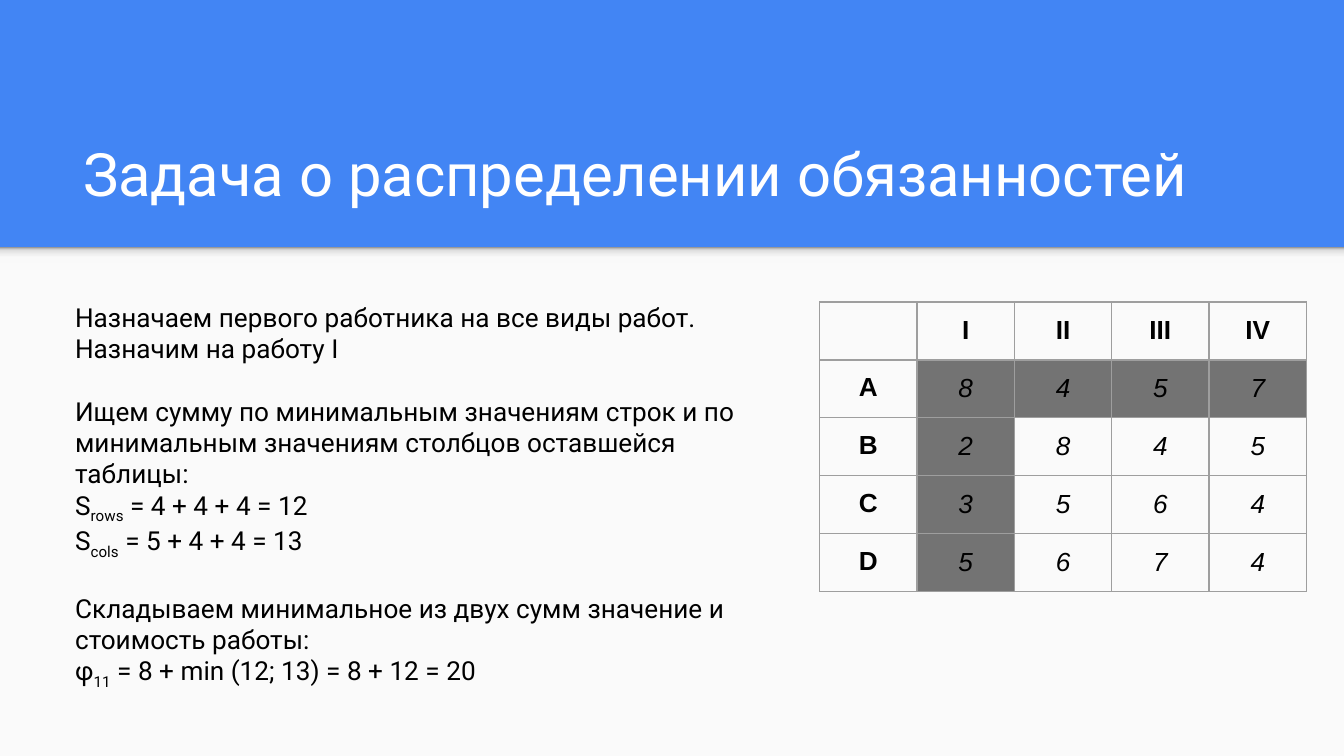
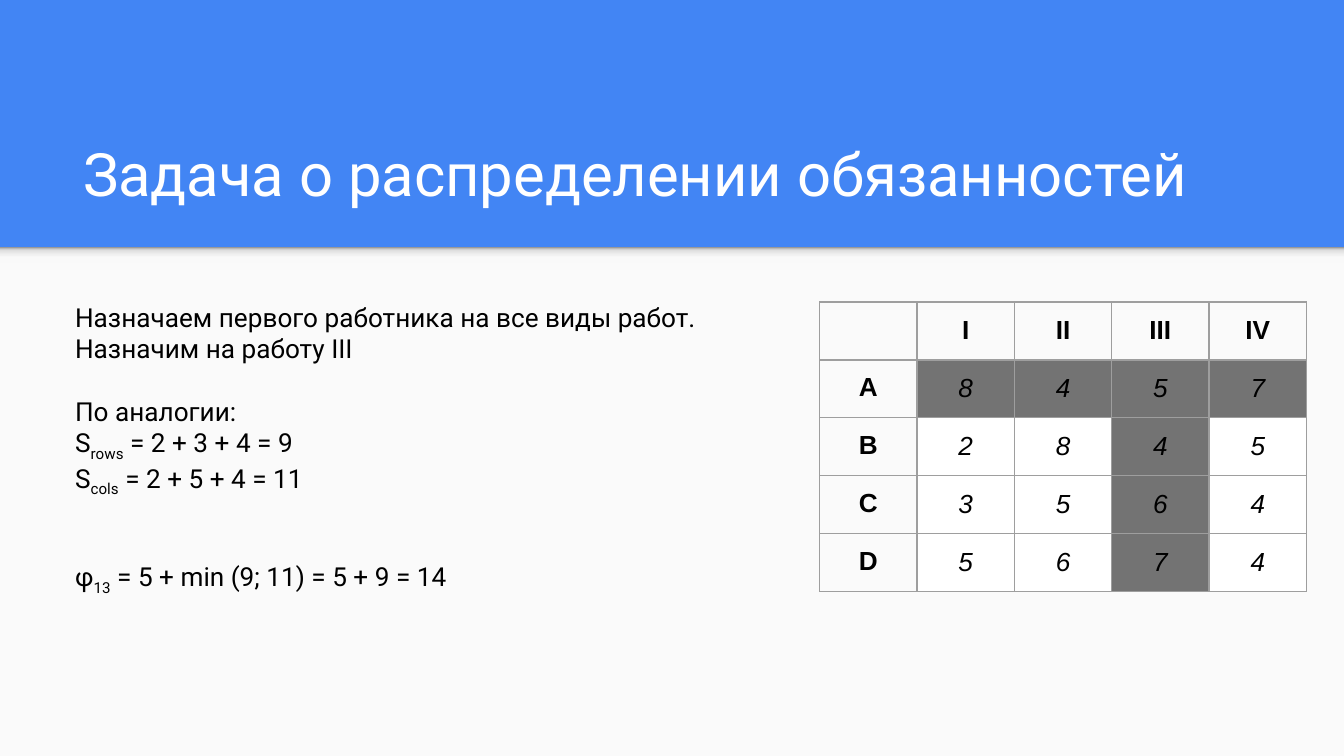
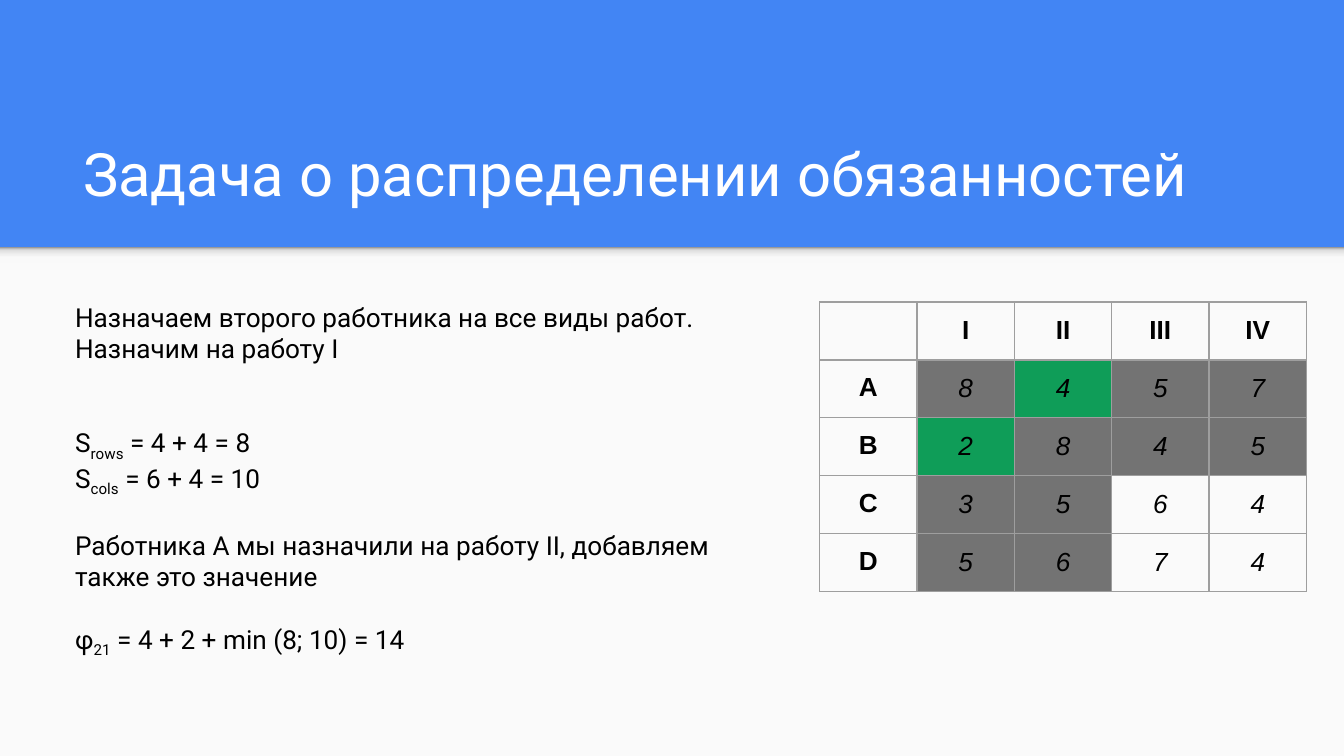
import dataclasses

import lxml.etree
import pptx
import pptx.dml.color
import pptx.enum.shapes
import pptx.enum.text
import pptx.oxml.ns
import pptx.util

Cm, Pt = pptx.util.Cm, pptx.util.Pt
Align = pptx.enum.text.PP_ALIGN
Anchor = pptx.enum.text.MSO_ANCHOR
qn = pptx.oxml.ns.qn

TITLE = "Задача о распределении обязанностей"
JOBS = ["I", "II", "III", "IV"]
COSTS = {
    "A": [8, 4, 5, 7],
    "B": [2, 8, 4, 5],
    "C": [3, 5, 6, 4],
    "D": [5, 6, 7, 4],
}

# Each line is (blank lines before it, text, subscript, text, ...).
STEPS = [
    {
        "assigned": [("A", "I")], "assigned_fill": "struck", "free_fill": None,
        "lines": [
            (0, "Назначаем первого работника на все виды работ."),
            (0, "Назначим на работу I"),
            (1, "Ищем сумму по минимальным значениям строк и по минимальным "
                "значениям столбцов оставшейся таблицы:"),
            (0, "S", "rows", " = 4 + 4 + 4 = 12"),
            (0, "S", "cols", " = 5 + 4 + 4 = 13"),
            (1, "Складываем минимальное из двух сумм значение и стоимость работы:"),
            (0, "φ", "11", " = 8 + min (12; 13) = 8 + 12 = 20"),
        ],
    },
    {
        "assigned": [("A", "III")], "assigned_fill": "struck", "free_fill": "white",
        "lines": [
            (0, "Назначаем первого работника на все виды работ."),
            (0, "Назначим на работу III"),
            (1, "По аналогии:"),
            (0, "S", "rows", " = 2 + 3 + 4 = 9"),
            (0, "S", "cols", " = 2 + 5 + 4 = 11"),
            (2, "φ", "13", " = 5 + min (9; 11) = 5 + 9 = 14"),
        ],
    },
    {
        "assigned": [("A", "II"), ("B", "I")], "assigned_fill": "chosen", "free_fill": None,
        "lines": [
            (0, "Назначаем второго работника на все виды работ."),
            (0, "Назначим на работу I"),
            (2, "S", "rows", " = 4 + 4 = 8"),
            (0, "S", "cols", " = 6 + 4 = 10"),
            (1, "Работника A мы назначили на работу II, добавляем также это значение"),
            (1, "φ", "21", " = 4 + 2 + min (8; 10) = 14"),
        ],
    },
]


@dataclasses.dataclass(frozen=True)
class Theme:
    band: str = "4285F4"
    surface: str = "FAFAFA"
    ink: str = "000000"
    white: str = "FFFFFF"
    struck: str = "737373"
    chosen: str = "0F9D58"
    grid: str = "9E9E9E"
    shadow: tuple = ((0, "F9F9F9"), (36, "F9F9F9"), (80, "DEDEDE"), (100, "999999"))
    text_font: str = "Roboto"
    table_font: str = "Arial"
    title_size: float = 32
    text_size: float = 14
    line_height: float = 16.8
    grid_width: float = 0.75


THEME = Theme()
WIDTH, HEIGHT = Cm(25.4), Cm(14.29)
BAND_HEIGHT = Cm(4.67)
INSET = Cm(0.25)
COLUMN_WIDTH, ROW_HEIGHT = Cm(1.84), Cm(1.06)
PLAIN_TABLE_STYLE = "{2D5ABB26-0587-4C30-8999-92F81FD0307C}"


def rgb(code):
    return pptx.dml.color.RGBColor.from_string(code)


def write(holder, lines, font=THEME.text_font, size=THEME.text_size, color=THEME.ink,
          bold=False, italic=False, align=Align.LEFT, anchor=Anchor.TOP):
    """Fill a text frame or table cell with lines of alternating normal and subscript spans."""
    holder.margin_left = holder.margin_right = INSET
    holder.margin_top = holder.margin_bottom = INSET
    holder.vertical_anchor = anchor
    frame = getattr(holder, "text_frame", holder)
    frame.word_wrap = True
    for number, (blank_lines, *spans) in enumerate(lines):
        para = frame.add_paragraph() if number else frame.paragraphs[0]
        para.alignment = align
        if blank_lines:
            para.space_before = Pt(blank_lines * THEME.line_height)
        for position, text in enumerate(spans):
            span = para.add_run()
            span.text = text
            span.font.name, span.font.size = font, Pt(size)
            span.font.bold, span.font.italic = bold, italic
            span.font.color.rgb = rgb(color)
            if position % 2:
                span.font._element.set("baseline", "-25000")


def add_text(page, left, top, width, height, lines, **text_format):
    box = page.shapes.add_textbox(left, top, width, height)
    write(box.text_frame, lines, **text_format)


def add_panel(page, height):
    """Add a full-width rectangle that starts where the title band ends."""
    panel = page.shapes.add_shape(
        pptx.enum.shapes.MSO_SHAPE.RECTANGLE, 0, BAND_HEIGHT, WIDTH, height)
    panel.shadow.inherit = False
    panel.line.fill.background()
    return panel


def add_frame(page):
    surface = add_panel(page, HEIGHT - BAND_HEIGHT)
    surface.fill.solid()
    surface.fill.fore_color.rgb = rgb(THEME.surface)

    shadow = add_panel(page, Cm(0.3))
    shadow.fill.gradient()
    shadow.fill.gradient_angle = 90
    stops = next(shadow.element.iter(qn("a:gsLst")))
    for stop in list(stops):
        stops.remove(stop)
    for percent, color in THEME.shadow:
        stop = lxml.etree.SubElement(stops, qn("a:gs"), pos=str(percent * 1000))
        lxml.etree.SubElement(stop, qn("a:srgbClr"), val=color)

    add_text(page, Cm(1.32), Cm(2.06), Cm(22.83), Cm(2.13), [(0, TITLE)],
             size=THEME.title_size, color=THEME.white, anchor=Anchor.BOTTOM)


def style_cell(cell, fill):
    properties = cell._tc.get_or_add_tcPr()
    for side in ("a:lnL", "a:lnR", "a:lnT", "a:lnB"):
        line = lxml.etree.SubElement(properties, qn(side), w=str(Pt(THEME.grid_width)))
        paint = lxml.etree.SubElement(line, qn("a:solidFill"))
        lxml.etree.SubElement(paint, qn("a:srgbClr"), val=THEME.grid)
    if fill:
        cell.fill.solid()
        cell.fill.fore_color.rgb = rgb(getattr(THEME, fill))
    else:
        cell.fill.background()


def cost_fill(step, worker, job):
    if (worker, job) in step["assigned"]:
        return step["assigned_fill"]
    if any(worker == busy or job == taken for busy, taken in step["assigned"]):
        return "struck"
    return step["free_fill"]


def add_cost_table(page, step):
    rows, columns = len(COSTS) + 1, len(JOBS) + 1
    table = page.shapes.add_table(rows, columns, Cm(15.49), Cm(5.71),
                                  COLUMN_WIDTH * columns, ROW_HEIGHT * rows).table
    table.first_row = table.horz_banding = False
    next(table._tbl.iter(qn("a:tableStyleId"))).text = PLAIN_TABLE_STYLE
    for column in table.columns:
        column.width = COLUMN_WIDTH
    for row in table.rows:
        row.height = ROW_HEIGHT

    def put(row, column, text, fill=None, **text_format):
        cell = table.cell(row, column)
        write(cell, [(0, text)], font=THEME.table_font, align=Align.CENTER, **text_format)
        style_cell(cell, fill)

    style_cell(table.cell(0, 0), None)
    for column, job in enumerate(JOBS, 1):
        put(0, column, job, bold=True)
    for row, (worker, costs) in enumerate(COSTS.items(), 1):
        put(row, 0, worker, bold=True)
        for column, (job, cost) in enumerate(zip(JOBS, costs), 1):
            put(row, column, str(cost), cost_fill(step, worker, job),
                italic=True, anchor=Anchor.MIDDLE)


def main():
    deck = pptx.Presentation()
    deck.slide_width, deck.slide_height = WIDTH, HEIGHT
    background = deck.slide_master.background.fill
    background.solid()
    background.fore_color.rgb = rgb(THEME.band)
    for step in STEPS:
        page = deck.slides.add_slide(deck.slide_layouts[6])
        add_frame(page)
        add_cost_table(page, step)
        add_text(page, Cm(1.17), Cm(5.44), Cm(13.44), Cm(7.62), step["lines"])
    deck.save("out.pptx")


if __name__ == "__main__":
    main()
